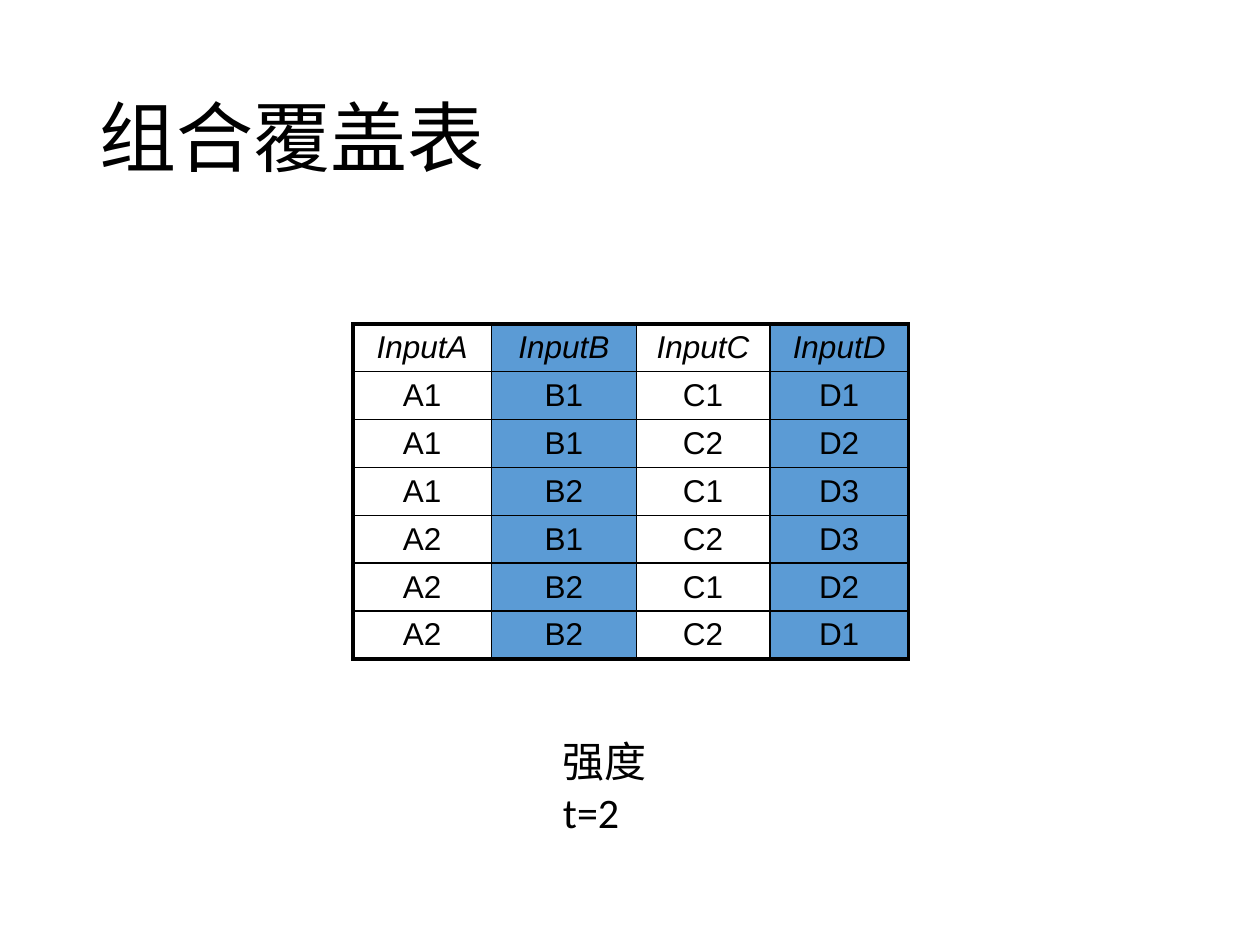
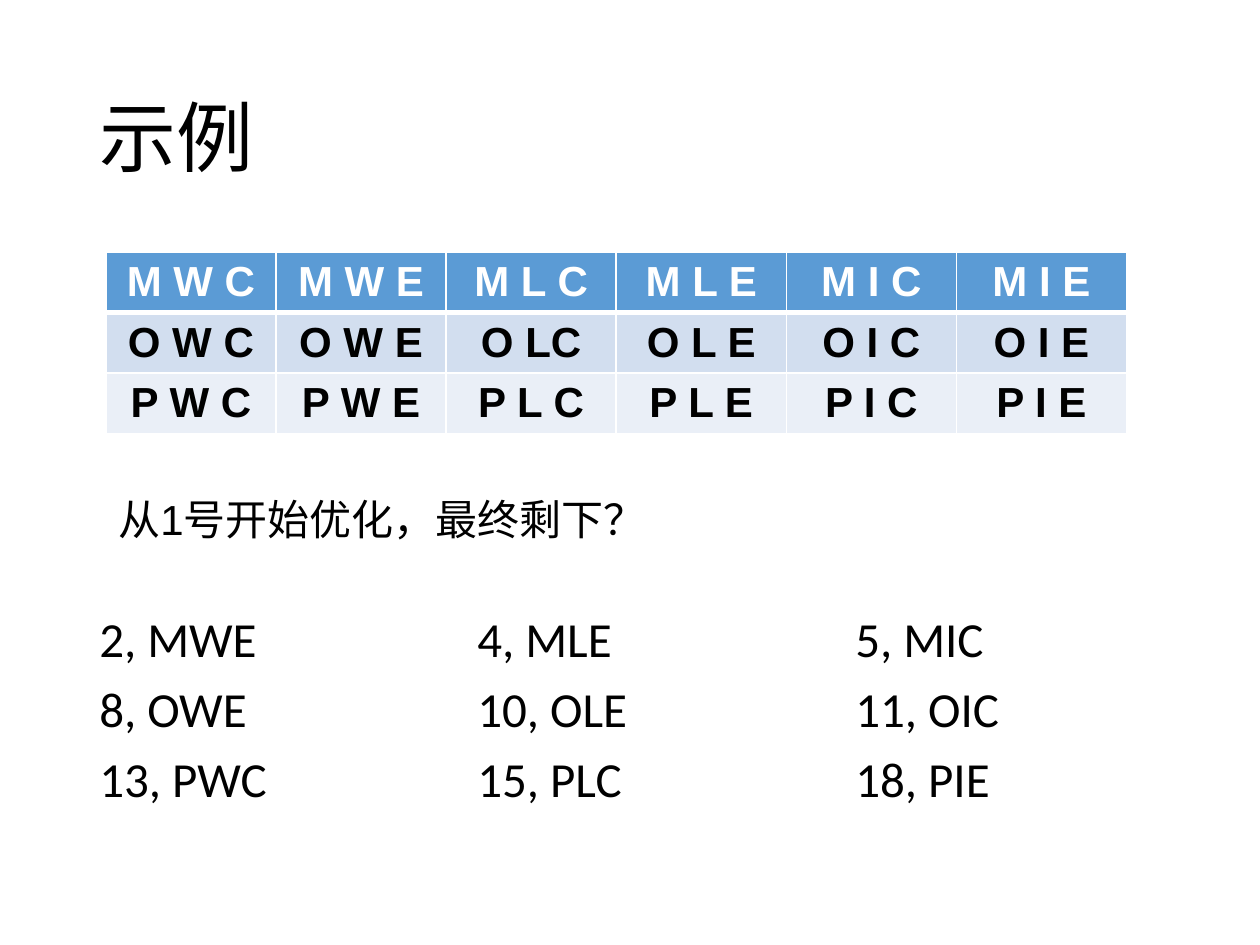
from dataclasses import dataclass
from typing import Callable, Optional

from lxml import etree
from pptx import Presentation
from pptx import util as u
from pptx.dml import color
from pptx.enum import text
from pptx.oxml import ns

BLACK, WHITE = "000000", "FFFFFF"
BLUE, PALE_BLUE, PALEST_BLUE = "5B9BD5", "D2DEEF", "EAEFF7"
LATIN, SANS = "Calibri", "Arial"


@dataclass(frozen=True)
class Style:
    size: float
    font: str = LATIN
    color: str = BLACK
    bold: bool = False
    italic: bool = False


@dataclass(frozen=True)
class Area:
    left: float
    top: float
    width: float
    height: float


@dataclass(frozen=True)
class CellLook:
    style: Style
    fill: Optional[str]
    borders: dict[str, float]  # side (L, R, T, B) to width in points


@dataclass(frozen=True)
class Grid:
    left: float
    top: float
    columns: list[float]
    row_height: float
    rows: list[list[str]]
    line_color: str
    look: Callable[[int, int], CellLook]


TITLE_AREA = Area(0.69, 0.4, 8.62, 1.45)
TITLE_STYLE = Style(44)
NOTE_STYLE = Style(24)


def rgb(value: str) -> color.RGBColor:
    return color.RGBColor.from_string(value)


def format_span(span, style: Style) -> None:
    font = span.font
    font.name, font.size = style.font, u.Pt(style.size)
    font.bold, font.italic = style.bold, style.italic
    font.color.rgb = rgb(style.color)


def add_text(page, area: Area, lines: list[list[tuple[str, Style]]],
             spacing: float = 1.0, before: float = 0,
             anchor=text.MSO_ANCHOR.TOP, tabs: tuple[float, ...] = ()):
    """Add a text box; each line is a list of (words, style) spans."""
    box = page.shapes.add_textbox(*map(u.Inches, (area.left, area.top, area.width, area.height)))
    frame = box.text_frame
    frame.word_wrap, frame.vertical_anchor = True, anchor
    for number, line in enumerate(lines):
        para = frame.add_paragraph() if number else frame.paragraphs[0]
        if tabs:
            stops = etree.SubElement(para._p.get_or_add_pPr(), ns.qn("a:tabLst"))
            for stop in tabs:
                etree.SubElement(stops, ns.qn("a:tab"), pos=str(u.Inches(stop)), algn="l")
        para.line_spacing = spacing
        if number:
            para.space_before = u.Pt(before)
        for words, style in line:
            span = para.add_run()
            span.text = words
            format_span(span, style)
    return box


def add_page(deck, title: str):
    page = deck.slides.add_slide(deck.slide_layouts[6])
    add_text(page, TITLE_AREA, [[(title, TITLE_STYLE)]], 0.9,
             anchor=text.MSO_ANCHOR.MIDDLE)
    return page


def set_borders(cell, widths: dict[str, float], line_color: str) -> None:
    properties = cell._tc.get_or_add_tcPr()
    for side in "LRTB":
        line = etree.SubElement(properties, ns.qn(f"a:ln{side}"), w=str(u.Pt(widths[side])))
        fill = etree.SubElement(line, ns.qn("a:solidFill"))
        etree.SubElement(fill, ns.qn("a:srgbClr"), val=line_color)


def add_grid(page, grid: Grid) -> None:
    row_count, column_count = len(grid.rows), len(grid.columns)
    table = page.shapes.add_table(
        row_count, column_count, u.Inches(grid.left), u.Inches(grid.top),
        u.Inches(sum(grid.columns)), u.Inches(grid.row_height * row_count)).table
    table.first_row = table.horz_banding = False
    for column, width in zip(table.columns, grid.columns):
        column.width = u.Inches(width)
    for r, values in enumerate(grid.rows):
        table.rows[r].height = u.Inches(grid.row_height)
        for c, value in enumerate(values):
            cell, look = table.cell(r, c), grid.look(r, c)
            cell.margin_top = cell.margin_bottom = u.Inches(0.04)
            cell.vertical_anchor = text.MSO_ANCHOR.MIDDLE
            set_borders(cell, look.borders, grid.line_color)
            if look.fill:
                cell.fill.solid()
                cell.fill.fore_color.rgb = rgb(look.fill)
            else:
                cell.fill.background()
            para = cell.text_frame.paragraphs[0]
            para.text = value
            para.alignment = text.PP_ALIGN.CENTER
            format_span(para.runs[0], look.style)


# Slide 1: combination coverage table
COVERAGE = [row.split() for row in (
    "InputA InputB InputC InputD",
    "A1 B1 C1 D1", "A1 B1 C2 D2", "A1 B2 C1 D3",
    "A2 B1 C2 D3", "A2 B2 C1 D2", "A2 B2 C2 D1")]


def coverage_look(row: int, column: int) -> CellLook:
    """Thick outer frame, blue B and D columns, italic header."""
    outer = {"L": column == 0, "R": column == len(COVERAGE[0]) - 1,
             "T": row == 0, "B": row == len(COVERAGE) - 1}
    return CellLook(Style(18, SANS, italic=row == 0), BLUE if column % 2 else None,
                    {side: 2.25 if edge else 1 for side, edge in outer.items()})


def build_coverage(deck) -> None:
    page = add_page(deck, "组合覆盖表")
    add_grid(page, Grid(2.8, 2.57, [1.1, 1.15, 1.06, 1.1], 0.38,
                        COVERAGE, BLACK, coverage_look))
    strength = add_text(page, Area(4.37, 5.79, 1.33, 0.5), [[("强度t=2", NOTE_STYLE)]])
    strength.text_frame.margin_right = u.Inches(0.2)


# Slide 2: worked example
COMBINATIONS = [
    ["M W C", "M W E", "M L C", "M L E", "M I C", "M I E"],
    ["O W C", "O W E", "O LC", "O L E", "O I C", "O I E"],
    ["P W C", "P W E", "P L C", "P L E", "P I C", "P I E"]]
REMAINING = [
    ["2, MWE", "4, MLE", "5, MIC"],
    ["8, OWE", "10, OLE", "11, OIC"],
    ["13, PWC", "15, PLC", "18, PIE"]]


def combination_look(row: int, column: int) -> CellLook:
    """Blue header over a thick white rule, then pale bands."""
    style = Style(24, SANS, BLACK if row else WHITE, bold=True)
    borders = {"L": 1, "R": 1, "T": 3 if row == 1 else 1, "B": 1 if row else 3}
    return CellLook(style, (BLUE, PALE_BLUE, PALEST_BLUE)[row], borders)


def build_example(deck) -> None:
    page = add_page(deck, "示例")
    add_text(page, Area(0.69, 4.83, 8.62, 1.93),
             [[("\t".join(row), Style(28))] for row in REMAINING],
             0.9, before=10, tabs=(3, 6))
    add_grid(page, Grid(0.84, 2, [1.35] * 6, 0.47, COMBINATIONS, WHITE, combination_look))
    add_text(page, Area(0.84, 3.87, 8.62, 0.81),
             [[("从1号开始优化，", Style(24, SANS)), ("最终剩下？", NOTE_STYLE)]])


def main() -> None:
    deck = Presentation()
    deck.slide_width, deck.slide_height = u.Inches(10), u.Inches(7.5)
    build_coverage(deck)
    build_example(deck)
    deck.save("out.pptx")


if __name__ == "__main__":
    main()
